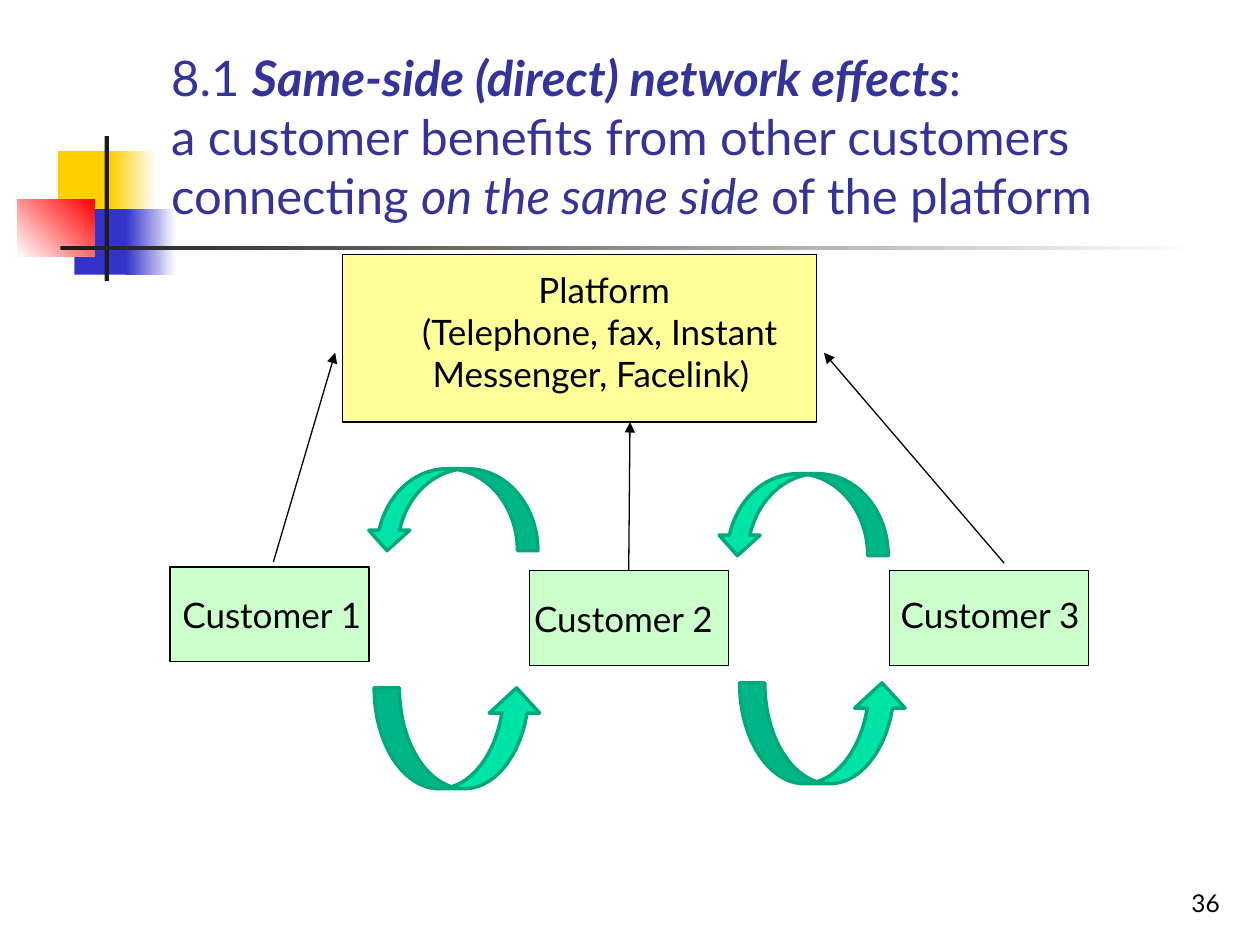
from dataclasses import dataclass

from lxml.etree import SubElement
from pptx import Presentation
from pptx.dml.color import RGBColor
from pptx.enum.shapes import MSO_CONNECTOR as Connector, MSO_SHAPE as Shape
from pptx.enum.text import MSO_ANCHOR as Anchor, PP_ALIGN as Align
from pptx.oxml.ns import qn
from pptx.util import Inches, Pt

COLS, ROWS = 100, 75  # square grid cells over the slide
CELL = Inches(0.1)


@dataclass(frozen=True)
class Theme:
    font: str = "Lato"
    title_size: int = 28
    body_size: int = 20
    number_size: int = 14
    thin: float = 0.75
    thick: float = 2
    title: str = "333399"
    ink: str = "000000"
    white: str = "FFFFFF"
    yellow: str = "FFCF01"
    blue: str = "3333CC"
    red: str = "FF0000"
    bar: str = "1C1C1C"
    platform: str = "FFFF99"
    customer: str = "CCFFCC"
    arrow: str = "00E4A8"
    arrow_edge: str = "00A97C"


T = Theme()


def grid(*cells):
    return [round(c * CELL) for c in cells]


def rgb(code):
    return RGBColor.from_string(code)


def add_block(s, at, fill, edge=None, width=T.thin, kind=Shape.RECTANGLE):
    sp = s.shapes.add_shape(kind, *grid(*at))
    sp.shadow.inherit = False
    sp.fill.solid()
    sp.fill.fore_color.rgb = rgb(fill)
    if edge:
        sp.line.color.rgb = rgb(edge)
        sp.line.width = Pt(width)
    else:
        sp.line.fill.background()
    return sp


def add_fade(s, at, start, end, angle=0):
    fill = add_block(s, at, start).fill
    fill.gradient()
    fill.gradient_angle = angle
    for stop, code in zip(fill.gradient_stops, (start, end)):
        stop.color.rgb = rgb(code)


def add_text(s, at, lines, size=T.body_size, color=T.ink, align=Align.LEFT,
             anchor=Anchor.TOP):
    """Add a text box with one paragraph per line and return its paragraphs."""
    tf = s.shapes.add_textbox(*grid(*at)).text_frame
    tf.word_wrap = True
    tf.vertical_anchor = anchor
    for i, line in enumerate(lines):
        p = tf.add_paragraph() if i else tf.paragraphs[0]
        p.text = line
        p.alignment = align
        p.font.name, p.font.size = T.font, Pt(size)
        p.font.color.rgb = rgb(color)
    return tf.paragraphs


def add_arrow(s, start, end):
    line = s.shapes.add_connector(Connector.STRAIGHT, *grid(*start, *end))
    line.line.color.rgb = rgb(T.ink)
    line.line.width = Pt(T.thin)
    SubElement(line.line._get_or_add_ln(), qn("a:tailEnd"), type="triangle")
    SubElement(line._element.spPr, qn("a:effectLst"))
    return line


def add_loop(s, upper, lower):
    """Add the pair of curved arrows between two neighbouring customers."""
    for kind, (left, top), size in (
        (Shape.CURVED_UP_ARROW, lower, (13.3, 8)),
        (Shape.CURVED_DOWN_ARROW, upper, (13.6, 6.5)),
    ):
        sp = add_block(s, (left, top, *size), T.arrow, T.arrow_edge, T.thick, kind)
        if kind == Shape.CURVED_DOWN_ARROW:
            sp._element.spPr.xfrm.set("flipH", "1")


def add_ornament(s):
    add_block(s, (4.6, 12, 4.8, 5.2), T.yellow)
    add_fade(s, (8.8, 12, 3.6, 5.2), T.yellow, T.white)
    add_block(s, (5.9, 16.6, 4.6, 5.2), T.blue)
    add_fade(s, (10, 16.6, 4, 5.2), T.blue, T.white)
    add_fade(s, (1.4, 15.8, 6.1, 4.6), T.white, T.red, 45)
    add_block(s, (8.3, 10.8, 0.35, 11.5), T.bar)
    add_fade(s, (4.8, 19.5, 90, 0.35), T.bar, T.white)


def add_title(s):
    p, = add_text(s, (12.6, 2.3, 85.2, 16), [""], T.title_size, T.title,
                  anchor=Anchor.BOTTOM)
    for text, bold, italic in (
        ("8.1 ", False, False),
        ("Same-side (direct) network effects", True, True),
        (":", False, False),
        (None, False, False),
        ("a customer benefits from other customers connecting ", False, False),
        ("on the same side ", False, True),
        ("of the platform", False, False),
    ):
        if text is None:
            p.add_line_break()
            continue
        r = p.add_run()
        r.text = text
        r.font.bold, r.font.italic = bold, italic


def add_platform(s):
    add_block(s, (27.2, 20.2, 37.6, 13.3), T.platform, T.ink)
    lines = ["Platform", "(Telephone, fax, Instant", "Messenger, Facelink)"]
    paragraphs = add_text(s, (31.7, 20.8, 32.5, 11.1), lines, align=Align.CENTER)
    for p, indent in zip(paragraphs, (0, 0.7, 2.1)):
        p._p.get_or_add_pPr().set("marR", str(grid(indent)[0]))


def add_customer(s, number, box, label):
    sp = add_block(s, (*box, 15.8, 7.5), T.customer, T.ink)
    add_text(s, (*label, 16.7, 4.4), [f"Customer {number}"])
    return sp


def main():
    prs = Presentation()
    prs.slide_width, prs.slide_height = COLS * CELL, ROWS * CELL
    s = prs.slides.add_slide(prs.slide_layouts[6])

    add_ornament(s)
    add_text(s, (77, 68.3, 20.8, 5), ["36"], T.number_size,
             align=Align.RIGHT, anchor=Anchor.BOTTOM)
    add_title(s)
    add_platform(s)

    add_customer(s, 1, (13.5, 45), (13.5, 46.6))
    middle = add_customer(s, 2, (42, 45.3), (41.4, 46.9))
    add_customer(s, 3, (70.6, 45.3), (70.5, 46.6))

    add_arrow(s, (21.7, 44.6), (26.6, 28))
    add_arrow(s, (50, 45.3), (50, 33.5)).begin_connect(middle, 0)
    add_arrow(s, (79.7, 44.7), (65.4, 28))

    add_loop(s, upper=(56.9, 37.6), lower=(58.7, 54.2))
    add_loop(s, upper=(29.1, 37.2), lower=(29.7, 54.6))
    prs.save("out.pptx")


if __name__ == "__main__":
    main()
